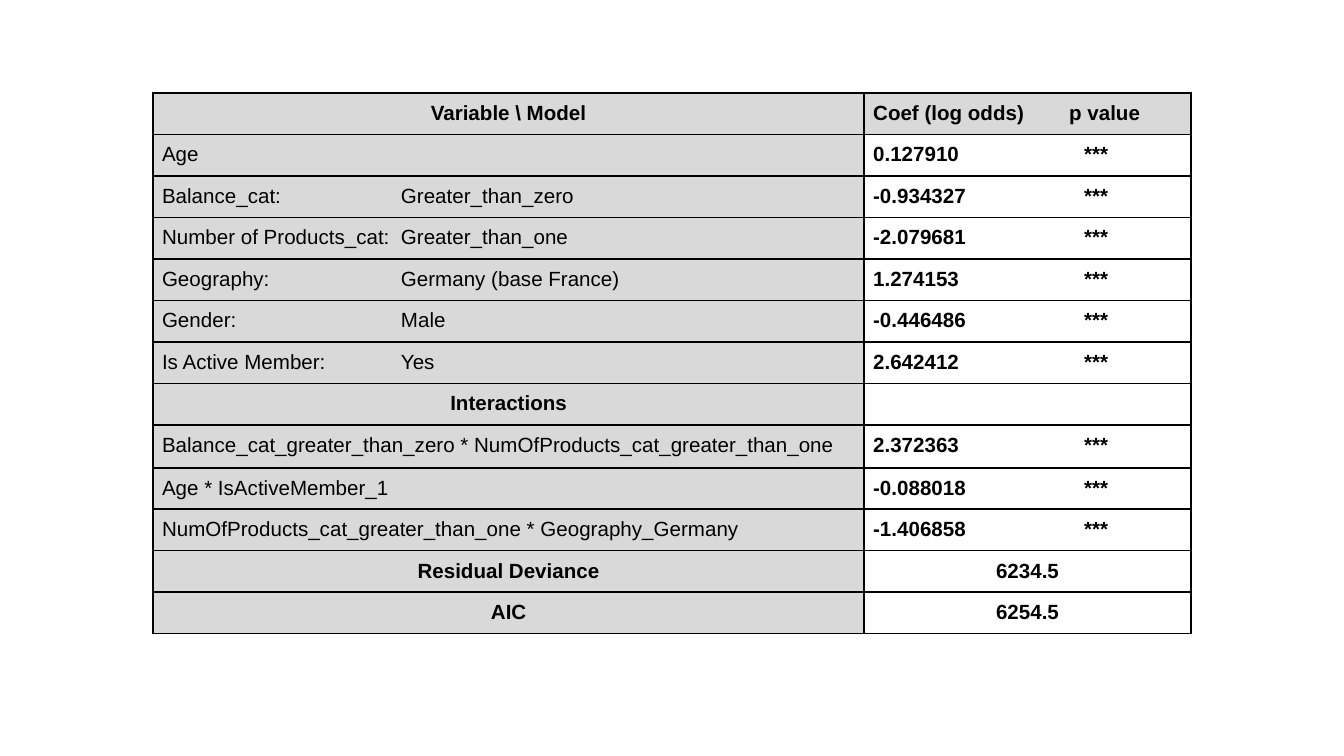
from lxml import etree
from pptx import Presentation
from pptx.dml.color import RGBColor
from pptx.enum import text
from pptx.oxml import ns
from pptx.util import Pt

CENTRE, LEFT = text.PP_ALIGN.CENTER, text.PP_ALIGN.LEFT

ROWS = [
    ("Variable \\ Model", "Coef (log odds)\tp value"),
    ("Age", "0.127910\t***"),
    ("Balance_cat:\tGreater_than_zero", "-0.934327\t***"),
    ("Number of Products_cat:\tGreater_than_one", "-2.079681\t***"),
    ("Geography:\tGermany (base France)", "1.274153\t***"),
    ("Gender:\tMale", "-0.446486\t***"),
    ("Is Active Member:\tYes", "2.642412\t***"),
    ("Interactions", ""),
    ("Balance_cat_greater_than_zero * NumOfProducts_cat_greater_than_one", "2.372363\t***"),
    ("Age * IsActiveMember_1", "-0.088018\t***"),
    ("NumOfProducts_cat_greater_than_one * Geography_Germany", "-1.406858\t***"),
    ("Residual Deviance", "6234.5"),
    ("AIC", "6254.5"),
]
HEADINGS = {"Variable \\ Model", "Interactions", "Residual Deviance", "AIC"}

THEME = {
    "font": "Arial",
    "size": Pt(11),
    "ink": RGBColor(0, 0, 0),
    "shade": RGBColor(0xD9, 0xD9, 0xD9),
    "border": "000000",
    "border_width": Pt(1),
}
LEFT_EDGE, TOP_EDGE = 82, 49.8
COLUMN_WIDTHS = (381, 175)
ROW_HEIGHT, TALL_ROW, TALL_HEIGHT = 22.25, 8, 23
MARGIN = 4.8
CATEGORY_TAB, HEADER_TAB, STARS_TAB = 128, 105, 113


def add_child(parent, tag, **attributes):
    return etree.SubElement(parent, ns.qn(tag), attributes)


def add_borders(cell):
    properties = cell._tc.get_or_add_tcPr()
    for place, side in enumerate(("a:lnL", "a:lnR", "a:lnT", "a:lnB")):
        line = add_child(properties, side, w=str(THEME["border_width"]))
        add_child(add_child(line, "a:solidFill"), "a:srgbClr", val=THEME["border"])
        properties.insert(place, line)


def add_tab(para, position):
    properties = para._p.get_or_add_pPr()
    stops = add_child(properties, "a:tabLst")
    add_child(stops, "a:tab", pos=str(Pt(position)), algn="l")
    properties.insert(0, stops)


def fill_cell(cell, words, bold, align, shaded, tab):
    cell.margin_left = cell.margin_right = Pt(MARGIN)
    cell.margin_top = cell.margin_bottom = Pt(MARGIN)
    if shaded:
        cell.fill.solid()
        cell.fill.fore_color.rgb = THEME["shade"]
    else:
        cell.fill.background()
    add_borders(cell)

    para = cell.text_frame.paragraphs[0]
    para.text = words
    para.alignment = align
    para.font.name = THEME["font"]
    para.font.size = THEME["size"]
    para.font.bold = bold
    para.font.color.rgb = THEME["ink"]
    if "\t" in words:
        add_tab(para, tab)
    if not words:
        add_child(para._p, "a:endParaRPr", sz=str(int(THEME["size"].pt * 100)))


deck = Presentation()
deck.slide_width, deck.slide_height = Pt(720), Pt(405)
page = deck.slides.add_slide(deck.slide_layouts[6])

heights = [TALL_HEIGHT if row == TALL_ROW else ROW_HEIGHT for row in range(len(ROWS))]
frame = page.shapes.add_table(
    len(ROWS), len(COLUMN_WIDTHS),
    Pt(LEFT_EDGE), Pt(TOP_EDGE), Pt(sum(COLUMN_WIDTHS)), Pt(sum(heights)),
)
table = frame.table
table.first_row = table.horz_banding = False
for column, width in zip(table.columns, COLUMN_WIDTHS):
    column.width = Pt(width)

for row, (variable, result) in enumerate(ROWS):
    table.rows[row].height = Pt(heights[row])
    heading = variable in HEADINGS
    fill_cell(table.cell(row, 0), variable, heading, CENTRE if heading else LEFT,
              True, CATEGORY_TAB)
    fill_cell(table.cell(row, 1), result, True,
              CENTRE if heading and "\t" not in result else LEFT,
              row == 0, HEADER_TAB if row == 0 else STARS_TAB)

deck.save("out.pptx")
